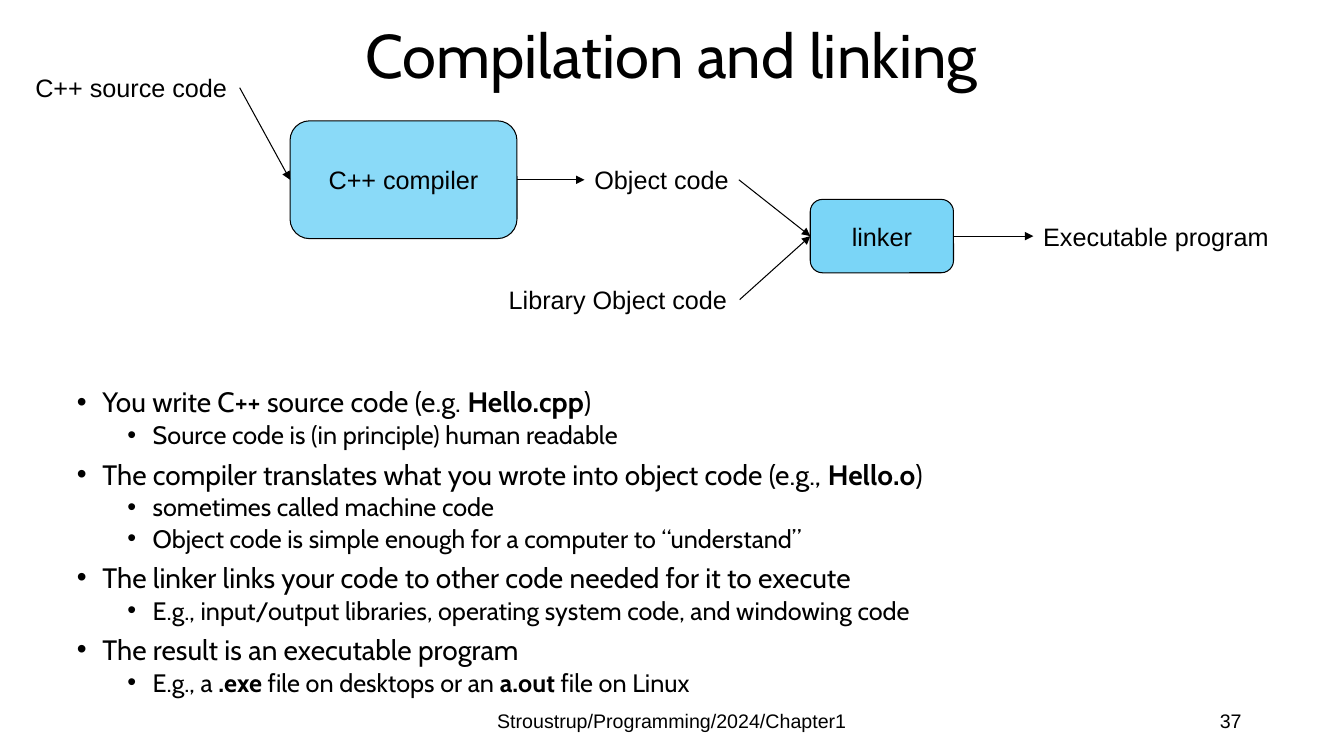
import pptx
import pptx.util
import pptx.dml.color
import pptx.enum.shapes
import pptx.enum.text
import pptx.oxml.ns
from lxml import etree

Cm, Pt = pptx.util.Cm, pptx.util.Pt
Align = pptx.enum.text.PP_ALIGN
Anchor = pptx.enum.text.MSO_ANCHOR
qn = pptx.oxml.ns.qn

BLACK = pptx.dml.color.RGBColor(0x00, 0x00, 0x00)
BLUE = pptx.dml.color.RGBColor(0x00, 0xB0, 0xF0)

# Indent level and text; ** switches bold on and off
POINTS = [
    (0, "You write C++ source code (e.g. **Hello.cpp**)"),
    (1, "Source code is (in principle) human readable"),
    (0, "The compiler translates what you wrote into object code (e.g., **Hello.o**)"),
    (1, "sometimes called machine code"),
    (1, "Object code is simple enough for a computer to “understand”"),
    (0, "The linker links your code to other code needed for it to execute"),
    (1, "E.g., input/output libraries, operating system code, and windowing code"),
    (0, "The result is an executable program"),
    (1, "E.g., a** .exe** file on desktops or an **a.out** file on Linux"),
]

# Per level: text size, space before, left margin in cm
LEVELS = [(20, 10, 0.64), (18, 5, 1.91)]
HANG = 0.64

# Name: left, middle height, width in cm from the corner of the flow
LABELS = {
    "C++ source code": (0, 0.51, 5.4),
    "Object code": (14.09, 2.83, 3.89),
    "Library Object code": (11.93, 5.85, 6.07),
    "Executable program": (25.4, 4.25, 6.35),
}
# Name: left, middle height, width, height, opacity in percent
TOOLS = {
    "C++ compiler": (6.67, 2.83, 5.72, 2.97, 46),
    "linker": (19.78, 4.25, 3.61, 1.85, 52),
}
ARROWS = [
    ("C++ source code", "C++ compiler"),
    ("C++ compiler", "Object code"),
    ("Object code", "linker"),
    ("Library Object code", "linker"),
    ("linker", "Executable program"),
]
LABEL_HIGH = 1.02


def style(para, size, face, align=Align.LEFT):
    para.alignment = align
    para.font.size = Pt(size)
    para.font.name = face
    para.font.color.rgb = BLACK


def add_text(slide, box, text, size, face, align):
    """Add one line of text, centred in the height of the box."""
    frame = slide.shapes.add_textbox(*map(Cm, box)).text_frame
    frame.word_wrap = True
    frame.vertical_anchor = Anchor.MIDDLE
    para = frame.paragraphs[0]
    para.text = text
    style(para, size, face, align)
    return para


def add_title(slide, box):
    para = add_text(slide, box, "Compilation and linking", 44, "Cabin", Align.CENTER)
    para.line_spacing = 0.9


def add_points(slide, box):
    frame = slide.shapes.add_textbox(*map(Cm, box)).text_frame
    frame.word_wrap = True
    for index, (level, text) in enumerate(POINTS):
        para = frame.add_paragraph() if index else frame.paragraphs[0]
        size, gap, margin = LEVELS[level]
        para.level = level
        para.line_spacing = 0.8
        para.space_before = Pt(gap if index else 0)
        props = para._p.get_or_add_pPr()
        props.set("marL", str(Cm(margin)))
        props.set("indent", str(-Cm(HANG)))
        etree.SubElement(props, qn("a:buFont"), typeface="Arial")
        etree.SubElement(props, qn("a:buChar"), char="•")
        style(para, size, "Cabin")
        for part, words in enumerate(text.split("**")):
            run = para.add_run()
            run.text = words
            if part % 2:
                run.font.bold = True


def add_footer(slide, box):
    left, top, width, height = box
    add_text(slide, (left, top, 11.43, height),
             "Stroustrup/Programming/2024/Chapter1", 14, "Arial", Align.CENTER)
    add_text(slide, (left + width - 7.62, top, 7.62, height),
             "37", 14, "Arial", Align.RIGHT)


def add_label(slide, box, name):
    shape = slide.shapes.add_textbox(*map(Cm, box))
    frame = shape.text_frame
    frame.word_wrap = False
    frame.auto_size = pptx.enum.text.MSO_AUTO_SIZE.SHAPE_TO_FIT_TEXT
    frame.text = name
    style(frame.paragraphs[0], 18, "Arial")
    return shape


def add_tool(slide, box, name, alpha):
    kind = pptx.enum.shapes.MSO_SHAPE.ROUNDED_RECTANGLE
    shape = slide.shapes.add_shape(kind, *map(Cm, box))
    shape.shadow.inherit = False
    shape.fill.solid()
    shape.fill.fore_color.rgb = BLUE
    color = shape._element.spPr.find(qn("a:solidFill"))[0]
    etree.SubElement(color, qn("a:alpha"), val=str(alpha * 1000))
    shape.line.color.rgb = BLACK
    shape.line.width = Pt(0.75)
    frame = shape.text_frame
    frame.word_wrap = False
    frame.vertical_anchor = Anchor.MIDDLE
    frame.text = name
    style(frame.paragraphs[0], 18, "Arial", Align.CENTER)
    return shape


def add_arrow(slide, start, end):
    """Join the right side of start to the left side of end."""
    kind = pptx.enum.shapes.MSO_CONNECTOR.STRAIGHT
    arrow = slide.shapes.add_connector(kind, 0, 0, 0, 0)
    arrow.begin_connect(start, 3)
    arrow.end_connect(end, 1)
    arrow.line.color.rgb = BLACK
    arrow.line.width = Pt(0.75)
    etree.SubElement(arrow.line._get_or_add_ln(), qn("a:tailEnd"), type="triangle")
    etree.SubElement(arrow._element.spPr, qn("a:effectLst"))


def add_flow(slide, corner):
    left, top = corner
    nodes = {}
    for name, (x, mid, width, height, alpha) in TOOLS.items():
        box = (left + x, top + mid - height / 2, width, height)
        nodes[name] = add_tool(slide, box, name, alpha)
    for name, (x, mid, width) in LABELS.items():
        box = (left + x, top + mid - LABEL_HIGH / 2, width, LABEL_HIGH)
        nodes[name] = add_label(slide, box, name)
    for start, end in ARROWS:
        add_arrow(slide, nodes[start], nodes[end])


def main():
    deck = pptx.Presentation()
    deck.slide_width, deck.slide_height = Cm(33.87), Cm(19.05)
    slide = deck.slides.add_slide(deck.slide_layouts[6])
    add_title(slide, (5.5, 0, 22.86, 2.96))
    add_points(slide, (1.69, 9.74, 30.06, 8.26))
    add_footer(slide, (11.22, 17.66, 20.32, 1.02))
    add_flow(slide, (0.64, 1.7))
    deck.save("out.pptx")


if __name__ == "__main__":
    main()
